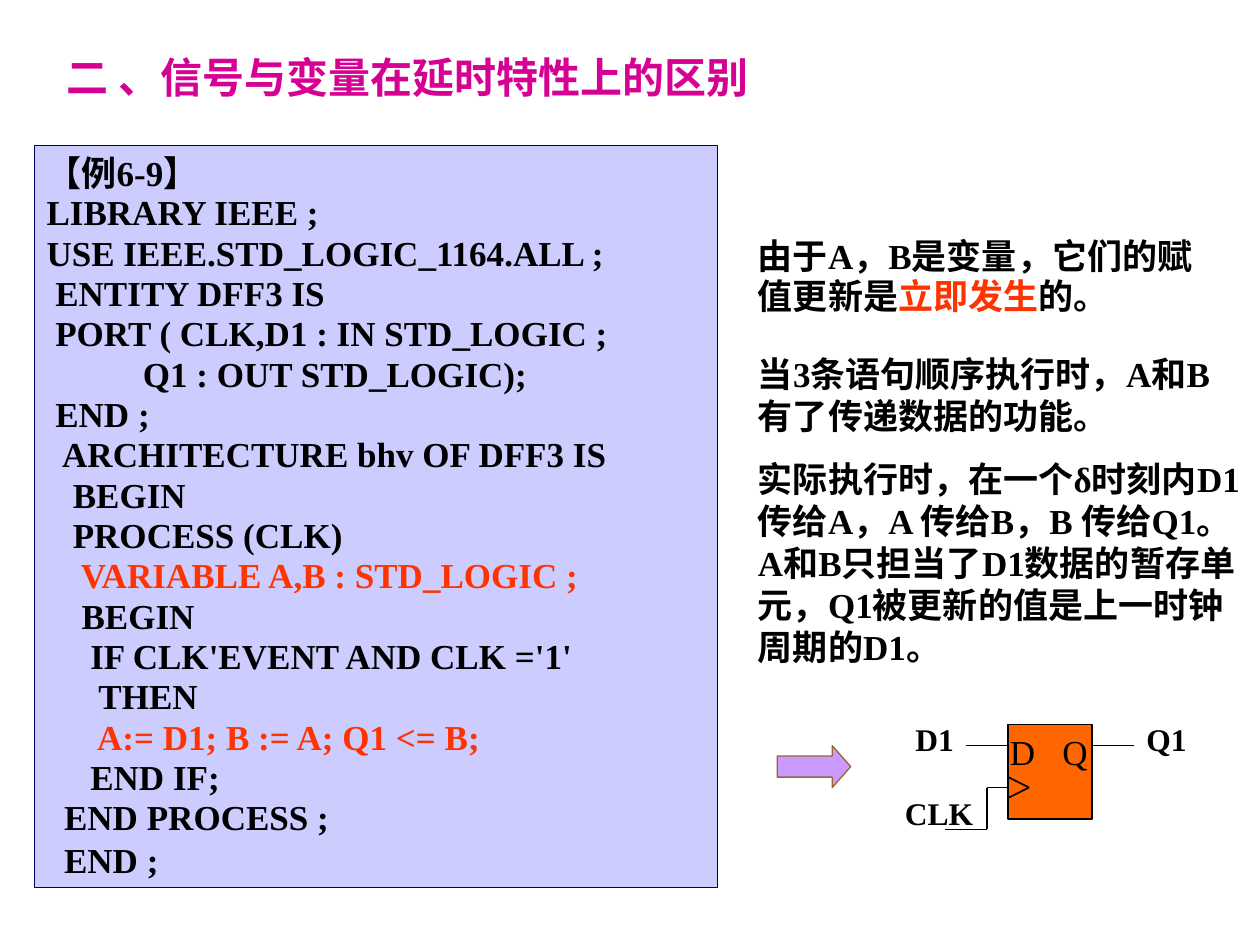
from lxml.etree import SubElement
from pptx import Presentation
from pptx.dml.color import RGBColor
from pptx.enum.shapes import MSO_CONNECTOR as Connector, MSO_SHAPE as Shape
from pptx.enum.text import MSO_ANCHOR as Anchor, PP_ALIGN as Align
from pptx.oxml.ns import qn
from pptx.util import Cm, Pt

FONT = "Times New Roman"
COLORS = {
    "black": "000000", "red": "FF3300", "title": "D60093",
    "code_fill": "CCCCFF", "code_line": "000066", "flip_flop": "FF6600",
    "arrow_fill": "CC99FF", "arrow_line": "996633",
}

TITLE = "二 、信号与变量在延时特性上的区别"
CODE = [
    "【例6-9】",
    "LIBRARY IEEE ;",
    "USE IEEE.STD_LOGIC_1164.ALL ;",
    " ENTITY DFF3 IS",
    " PORT ( CLK,D1 : IN STD_LOGIC ;",
    "           Q1 : OUT STD_LOGIC);",
    " END ;",
    "  ARCHITECTURE bhv OF DFF3 IS",
    "   BEGIN",
    "   PROCESS (CLK)",
    "    VARIABLE A,B : STD_LOGIC ;",
    "    BEGIN",
    "     IF CLK'EVENT AND CLK ='1'",
    "      THEN",
    "      A:= D1; B := A; Q1 <= B;",
    "     END IF;",
    "  END PROCESS ;",
    "  END ;",
]
RED_LINES = {10, 14}

NOTE_LEFT = 15.03
NOTES = [
    (4.65, 9.96, 1.88, 0.96,
     [("由于A，B是变量，它们的赋值更新是", "black"), ("立即发生", "red"), ("的。", "black")]),
    (6.99, 9.68, 1.96, 1.0,
     [("当3条语句顺序执行时，A和B 有了传递数据的功能。", "black")]),
    (9.09, 10.36, 4.5, 1.0,
     [("实际执行时，在一个δ时刻内D1传给A，A 传给B，B 传给Q1。"
       "A和B只担当了D1数据的暂存单元，Q1被更新的值是上一时钟周期的D1。", "black")]),
]

GRID = 2.54 / 12
FLIP_FLOP = (96, 69, 8, 9)
WIRES = [
    [(0, 5), (2, 6), (0, 7)],
    [(-4, 2), (0, 2)],
    [(0, 6), (-2, 6), (-2, 10), (-6, 10)],
    [(8, 2), (12, 2)],
]
LABELS = [
    ("D", -1, 0, 1.1, 20, False),
    ("Q", 4, 0, 1.1, 20, False),
    ("D1", -10, -1, 1.4, 18, True),
    ("CLK", -11, 6, 2.0, 18, True),
    ("Q1", 12, -1, 1.4, 18, True),
]


def rgb(name):
    return RGBColor.from_string(COLORS[name])


def grid_point(column, row):
    left, top = FLIP_FLOP[:2]
    return Cm((left + column) * GRID), Cm((top + row) * GRID)


def add_block(shapes, kind, place, fill, line, width):
    block = shapes.add_shape(kind, *place)
    block.shadow.inherit = False
    block.fill.solid()
    block.fill.fore_color.rgb = rgb(fill)
    block.line.color.rgb = rgb(line)
    block.line.width = Pt(width)
    return block


def style(para, size, bold=True, color="black", spacing=1.0):
    para.font.name = FONT
    para.font.size = Pt(size)
    para.font.bold = bold
    para.font.color.rgb = rgb(color)
    para.line_spacing = spacing


def add_text(shapes, place, spans, size, bold=True, spacing=1.0, wrap=True):
    frame = shapes.add_textbox(*place).text_frame
    frame.word_wrap = wrap
    para = frame.paragraphs[0]
    style(para, size, bold, spans[0][1], spacing)
    for text, color in spans:
        span = para.add_run()
        span.text = text
        if color != spans[0][1]:
            span.font.color.rgb = rgb(color)


def add_wire(shapes, start, end):
    wire = shapes.add_connector(Connector.STRAIGHT, *grid_point(*start), *grid_point(*end))
    wire.line.color.rgb = rgb("black")
    wire.line.width = Pt(1)
    SubElement(wire._element.spPr, qn("a:effectLst"))


def add_code(shapes):
    place = Cm(0.69), Cm(2.93), Cm(13.77), Cm(14.96)
    box = add_block(shapes, Shape.RECTANGLE, place, "code_fill", "code_line", 0.75)
    frame = box.text_frame
    frame.word_wrap = True
    frame.vertical_anchor = Anchor.TOP
    for index, text in enumerate(CODE):
        para = frame.add_paragraph() if index else frame.paragraphs[0]
        outer = index in (0, len(CODE) - 1)
        para.alignment = Align.JUSTIFY if outer else Align.LEFT
        style(para, 20, color="red" if index in RED_LINES else "black",
              spacing=1.0 if outer else 0.96)
        para.add_run().text = text


def add_flip_flop(shapes):
    width, height = FLIP_FLOP[2:]
    place = *grid_point(0, 0), Cm(width * GRID), Cm(height * GRID)
    add_block(shapes, Shape.RECTANGLE, place, "flip_flop", "black", 1)
    for points in WIRES:
        for start, end in zip(points, points[1:]):
            add_wire(shapes, start, end)
    for text, column, row, label_width, size, bold in LABELS:
        place = *grid_point(column, row), Cm(label_width), Cm(size * 0.056)
        add_text(shapes, place, [(text, "black")], size, bold, wrap=False)


def main():
    deck = Presentation()
    deck.slide_width, deck.slide_height = Cm(25.4), Cm(19.05)
    page = deck.slides.add_slide(deck.slide_layouts[6])
    shapes = page.shapes

    add_code(shapes)
    for top, width, height, spacing, spans in NOTES:
        place = Cm(NOTE_LEFT), Cm(top), Cm(width), Cm(height)
        add_text(shapes, place, spans, 20, spacing=spacing)
    add_flip_flop(shapes.add_group_shape().shapes)
    arrow_place = Cm(15.67), Cm(15.03), Cm(1.48), Cm(0.85)
    arrow = add_block(shapes, Shape.RIGHT_ARROW, arrow_place, "arrow_fill", "arrow_line", 0.75)
    arrow.adjustments[1] = 0.44
    add_text(shapes, (Cm(1.1), Cm(0.92), Cm(15.01), Cm(1.27)), [(TITLE, "title")], 24)

    deck.save("out.pptx")


if __name__ == "__main__":
    main()
